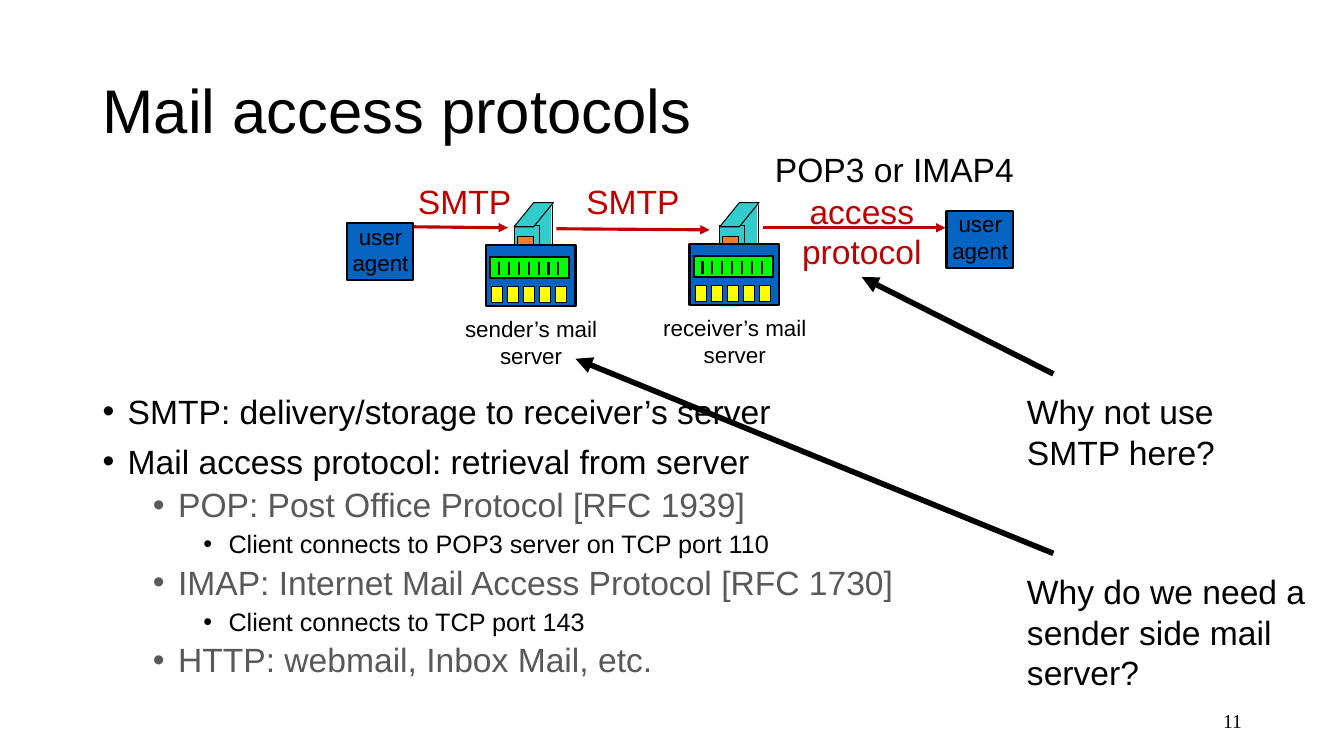
from pptx import Presentation
from pptx.dml.color import RGBColor
from pptx.enum import shapes, text
from pptx.oxml import ns, xmlchemy
from pptx.util import Pt

BLACK = RGBColor(0x00, 0x00, 0x00)
WHITE = RGBColor(0xFF, 0xFF, 0xFF)
GRAY = RGBColor(0x59, 0x59, 0x59)
RED = RGBColor(0xC0, 0x00, 0x00)
BLUE = RGBColor(0x05, 0x63, 0xC1)
TEAL = RGBColor(0x33, 0xCC, 0xCC)
ORANGE = RGBColor(0xED, 0x7D, 0x31)
GREEN = RGBColor(0x00, 0xFF, 0x00)
YELLOW = RGBColor(0xFF, 0xFF, 0x00)

RECT = shapes.MSO_SHAPE.RECTANGLE
SLANT = shapes.MSO_SHAPE.PARALLELOGRAM
LEFT, CENTER, RIGHT = text.PP_ALIGN.LEFT, text.PP_ALIGN.CENTER, text.PP_ALIGN.RIGHT
MIDDLE = text.MSO_ANCHOR.MIDDLE

TITLE = "Mail access protocols"
PAGE_NUMBER = "11"
BULLETS = [  # level, text
    (0, "SMTP: delivery/storage to receiver’s server"),
    (0, "Mail access protocol: retrieval from server"),
    (1, "POP: Post Office Protocol [RFC 1939]"),
    (2, "Client connects to POP3 server on TCP port 110"),
    (1, "IMAP: Internet Mail Access Protocol [RFC 1730]"),
    (2, "Client connects to TCP port 143"),
    (1, "HTTP: webmail, Inbox Mail, etc."),
]
LEVELS = [(24, BLACK, 10), (24, GRAY, 5), (18, BLACK, 5)]  # size, colour, space before

AGENTS = [(247.7, 159.1), (676.1, 150.5)]
TOWERS = [(367.2, 144.7), (514.1, 144.7)]
RACKS = [(347, 175), (492.5, 174.2)]
SMTP_LABELS = [(290.9, 126), (411.1, 126)]
LABELS = [  # lines, box, size, colour, alignment
    (["sender’s mail", "server"], (321.8, 221.8, 115.2, 46.1), 16, BLACK, CENTER),
    (["receiver’s mail", "server"], (461.5, 221, 126.7, 46.1), 16, BLACK, CENTER),
    (["access", "protocol"], (565.2, 132.5, 100.8, 65.5), 24, RED, CENTER),
    (["POP3 or IMAP4"], (546.5, 103, 192.2, 36), 24, BLACK, LEFT),
]
QUESTIONS = [
    ("Why not use SMTP here?", (726.5, 275.8, 190, 65.5)),
    ("Why do we need a sender side mail server?", (726.5, 404.6, 216, 94.3)),
]
MAIL_ARROWS = [
    ((295.9, 162), (362.9, 162.7)),
    ((397.4, 163.4), (506.9, 164.2)),
    ((545, 162.7), (675.4, 162.7)),
]
QUESTION_ARROWS = [
    ((752.4, 267.1), (615.6, 198)),
    ((752.4, 395.3), (411.1, 256.3)),
]


def add_block(parent, kind, box, fill, line_width=0):
    s = parent.add_shape(kind, *map(Pt, box))
    s.shadow.inherit = False
    s.fill.solid()
    s.fill.fore_color.rgb = fill
    if kind == SLANT:
        s.adjustments[0] = 0.814
    if line_width:
        s.line.color.rgb = BLACK
        s.line.width = Pt(line_width)
    else:
        s.line.fill.background()


def add_line(parent, start, end, width, color=BLACK, arrow=False):
    c = parent.add_connector(shapes.MSO_CONNECTOR.STRAIGHT, *map(Pt, start + end))
    c.line.color.rgb = color
    c.line.width = Pt(width)
    if arrow:
        head = xmlchemy.OxmlElement("a:tailEnd")
        head.set("type", "triangle")
        c.line._get_or_add_ln().append(head)
    c._element.spPr.append(xmlchemy.OxmlElement("a:effectLst"))


def add_run(p, words, size, color, font="Arial"):
    r = p.add_run()
    r.text = words
    r.font.name, r.font.size = font, Pt(size)
    r.font.color.rgb = color


def add_text(parent, lines, box, size, color=BLACK, align=LEFT, wrap=True, font="Arial"):
    tf = parent.add_textbox(*map(Pt, box)).text_frame
    tf.word_wrap = wrap
    for i, words in enumerate(lines):
        p = tf.add_paragraph() if i else tf.paragraphs[0]
        p.alignment = align
        add_run(p, words, size, color, font)
    return tf


def add_bullets(parent, box):
    tf = parent.add_textbox(*map(Pt, box)).text_frame
    tf.word_wrap = True
    for i, (level, words) in enumerate(BULLETS):
        size, color, before = LEVELS[level]
        p = tf.add_paragraph() if i else tf.paragraphs[0]
        p.level = level
        p.line_spacing = 0.9
        p.space_before = Pt(before if i else 0)
        props = p._p.get_or_add_pPr()
        props.set("marL", str(Pt(18 + 36 * level)))
        props.set("indent", str(Pt(-18)))
        font = xmlchemy.OxmlElement("a:buFont")
        font.set("typeface", "Arial")
        mark = xmlchemy.OxmlElement("a:buChar")
        mark.set("char", "•")
        props.extend([font, mark])
        add_run(p, words, size, color)


def add_agent(slide, x, y):
    group = slide.shapes.add_group_shape().shapes
    add_block(group, RECT, (x, y, 47.5, 41), BLUE, 1.5)
    add_text(group, ["user", "agent"], (x - 4, y - 3.6, 56.2, 46.1), 16,
             align=CENTER, wrap=False)


def add_tower(slide, x, y):
    group = slide.shapes.add_group_shape().shapes
    add_block(group, SLANT, (x, y + 56.9, 28.1, 17.3), TEAL)
    add_block(group, RECT, (x + 13.7, y + 0.7, 13, 56.2), TEAL)
    add_block(group, RECT, (x, y + 16.6, 18, 56.2), TEAL, 0.75)
    add_block(group, SLANT, (x, y, 28.1, 17.3), TEAL, 0.75)
    corner = (x + 27.7, y + 56.9)
    add_line(group, (x + 27.7, y + 1.4), corner, 0.75)
    add_line(group, corner, (x + 17.6, y + 73.4), 0.75)
    add_block(group, RECT, (x + 2.2, y + 24.5, 11.5, 32.4), ORANGE, 0.75)


def add_rack(slide, x, y):
    group = slide.shapes.add_group_shape().shapes
    add_block(group, RECT, (x, y, 64.1, 43.9), BLUE, 1.5)
    add_block(group, RECT, (x + 3.2, y + 8.6, 56.2, 15.1), GREEN, 1.5)
    for i in range(7):
        bar_x = x + 9.3 + 7.1 * i
        add_line(group, (bar_x, y + 12.2), (bar_x, y + 21.3), 1.5)
    for i in range(5):
        add_block(group, RECT, (x + 4.2 + 11.4 * i, y + 29.5, 7.9, 11.5), YELLOW, 0.75)


def main():
    prs = Presentation()
    prs.slide_width, prs.slide_height = Pt(960), Pt(540)
    slide = prs.slides.add_slide(prs.slide_layouts[6])
    canvas = slide.shapes

    number = add_text(canvas, [PAGE_NUMBER], (678.2, 500.4, 216, 28.8), 14,
                      align=RIGHT, font="Times New Roman")
    number.vertical_anchor = MIDDLE
    add_bullets(canvas, (66.2, 278.6, 828, 219.6))
    title = add_text(canvas, [TITLE], (66.2, 28.8, 828, 104.4), 44)
    title.vertical_anchor = MIDDLE
    title.paragraphs[0].line_spacing = 0.9

    for x, y in AGENTS:
        add_agent(slide, x, y)
    for x, y in TOWERS:
        add_tower(slide, x, y)
    for x, y in RACKS:
        add_rack(slide, x, y)
    for x, y in SMTP_LABELS:
        add_block(canvas, RECT, (x + 6.8, y + 5, 67.7, 23.8), WHITE)
        add_text(canvas, ["SMTP"], (x, y, 82.1, 36), 24, RED, CENTER, wrap=False)
    for start, end in MAIL_ARROWS:
        add_line(canvas, start, end, 2.25, RED, arrow=True)
    for lines, box, size, color, align in LABELS:
        add_text(canvas, lines, box, size, color, align, wrap=False)
    for question, box in QUESTIONS:
        add_text(canvas, [question], box, 24)
    for start, end in QUESTION_ARROWS:
        add_line(canvas, start, end, 4, arrow=True)
    prs.save("out.pptx")


if __name__ == "__main__":
    main()
